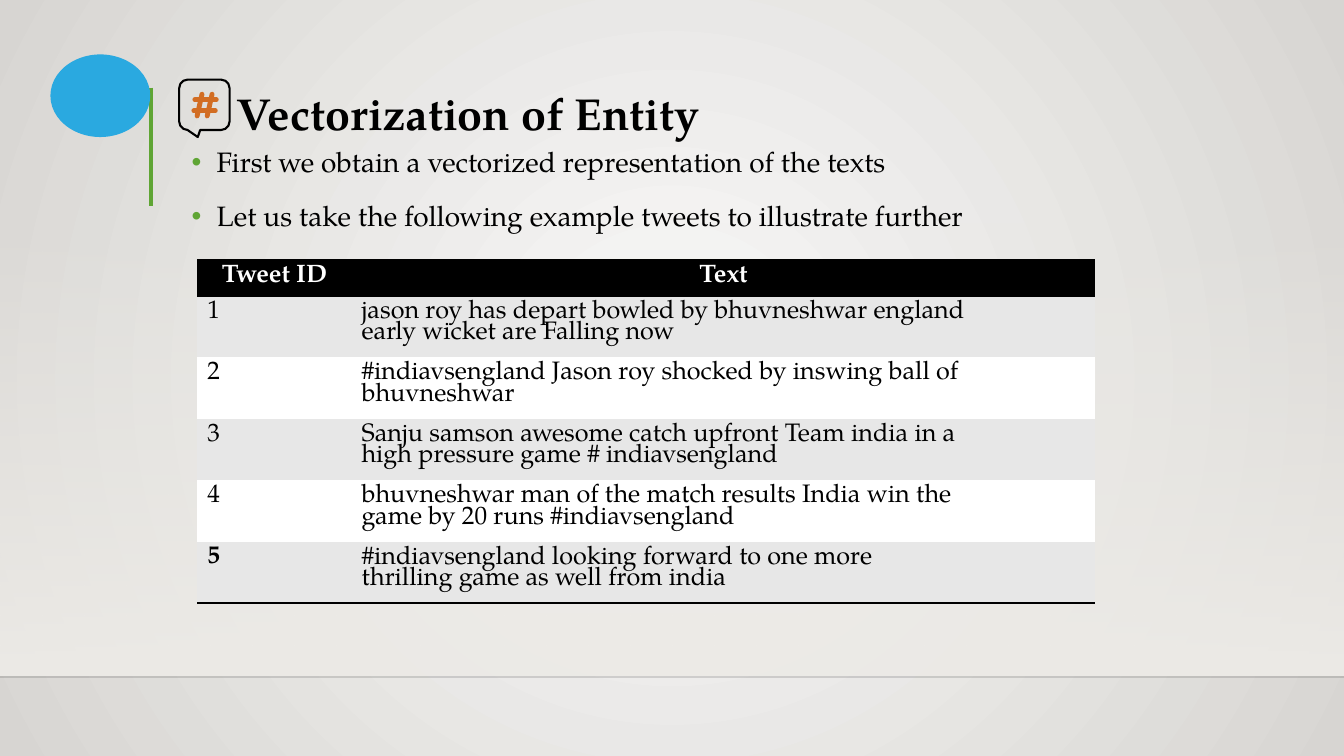
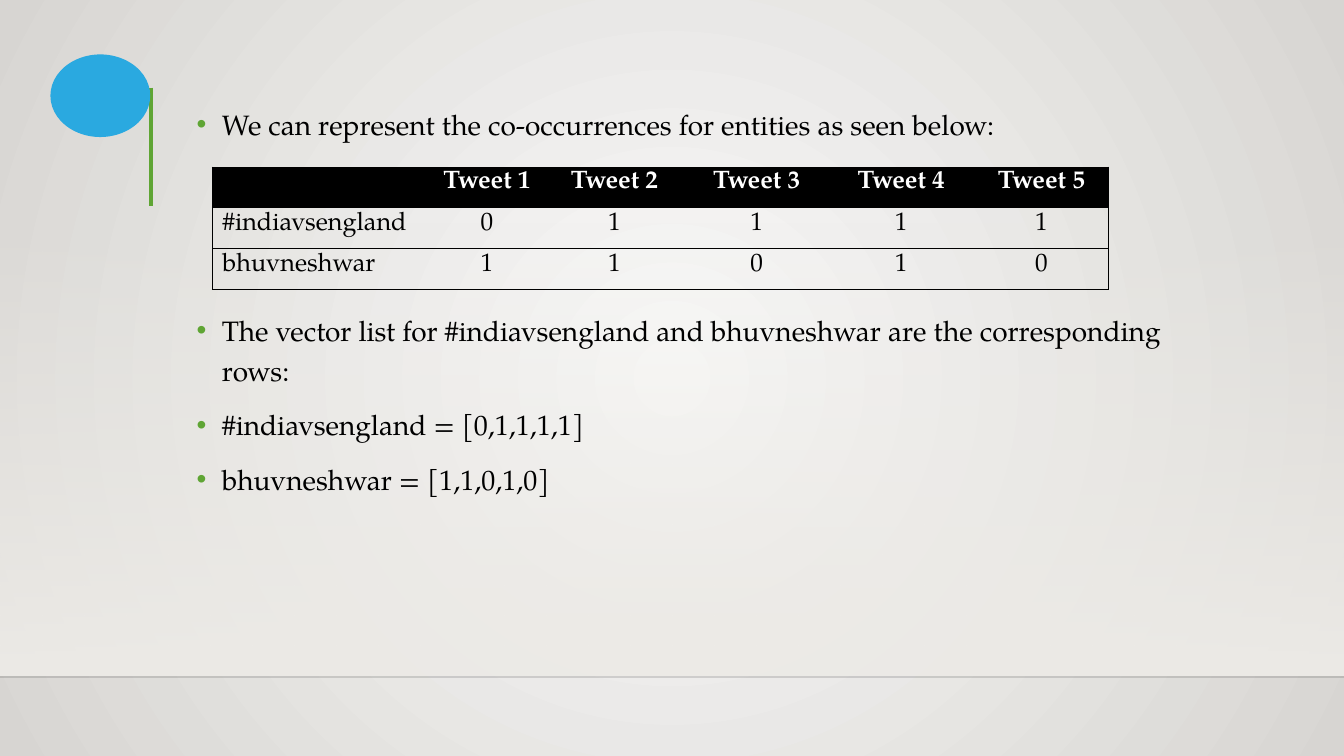
import pptx
import pptx.util
import pptx.dml.color
import pptx.enum.shapes
import pptx.enum.text
import pptx.oxml
import pptx.oxml.ns

Pt = pptx.util.Pt
qn = pptx.oxml.ns.qn
SHAPE = pptx.enum.shapes.MSO_SHAPE
ALIGN = pptx.enum.text.PP_ALIGN
ANCHOR = pptx.enum.text.MSO_ANCHOR

FONT = "TeX Gyre Pagella"
NO_STYLE = "{2D5ABB26-0587-4C30-8999-92F81FD0307C}"
COLORS = {
    "center": "FAFAF9", "edge": "D7D5D2", "band": "EDEBE7", "rule": "000001",
    "green": "5FA534", "blue": "2AA9E0", "orange": "D26D23",
    "black": "000000", "white": "FFFFFF", "stripe": "E7E7E7",
}
WIDTH, HEIGHT = 960, 540

TITLE = "Vectorization of Entity"
INTRO = [
    "First we obtain a vectorized representation of the texts",
    "Let us take the following example tweets to illustrate further",
]
TWEETS = [
    ("Tweet ID", "Text"),
    ("1", "jason roy has depart bowled by bhuvneshwar england\nearly wicket are Falling now"),
    ("2", "#indiavsengland Jason roy shocked by inswing ball of\nbhuvneshwar"),
    ("3", "Sanju samson awesome catch upfront Team india in a\nhigh pressure game # indiavsengland"),
    ("4", "bhuvneshwar man of the match results India win the\ngame by 20 runs #indiavsengland"),
    ("5", "#indiavsengland looking forward to one more\nthrilling game as well from india"),
]
VECTORS = [
    "We can represent the co-occurrences for entities as seen below:",
    "The vector list for #indiavsengland and bhuvneshwar are the corresponding rows:",
    "#indiavsengland = [0,1,1,1,1]",
    "bhuvneshwar = [1,1,0,1,0]",
]
COUNTS = [
    ("", "Tweet 1", "Tweet 2", "Tweet 3", "Tweet 4", "Tweet 5"),
    ("#indiavsengland", "0", "1", "1", "1", "1"),
    ("bhuvneshwar", "1", "1", "0", "1", "0"),
]
HASH_BARS = [
    (144.3, 67.3, 140.8, 82.8), (151.5, 67.3, 148, 82.8),
    (139.2, 71.2, 154.5, 71.2), (138.5, 79.2, 153.8, 79.2),
]


def rgb(name):
    return pptx.dml.color.RGBColor.from_string(COLORS[name])


def add_xml(parent, tag, **attrs):
    el = pptx.oxml.parse_xml(f"<{tag} {pptx.oxml.ns.nsdecls('a')}/>")
    for key, value in attrs.items():
        el.set(key, str(value))
    parent.append(el)
    return el


def set_alpha(fill_element, percent):
    color = next(fill_element.iter(qn("a:srgbClr")))
    add_xml(color, "a:alpha", val=percent * 1000)


def add_shape(s, kind, box, fill=None, line=None):
    sp = s.shapes.add_shape(kind, *map(Pt, box))
    sp.shadow.inherit = False
    if fill:
        sp.fill.solid()
        sp.fill.fore_color.rgb = rgb(fill)
    else:
        sp.fill.background()
    if line:
        sp.line.color.rgb = rgb(line)
        sp.line.width = Pt(1.5)
    else:
        sp.line.fill.background()
    return sp


def add_line(s, ends, color, width):
    cx = s.shapes.add_connector(pptx.enum.shapes.MSO_CONNECTOR.STRAIGHT, *map(Pt, ends))
    cx.line.color.rgb = rgb(color)
    cx.line.width = Pt(width)
    add_xml(cx.element.spPr, "a:effectLst")
    return cx


def format_runs(p, size, color="black", bold=False):
    for r in p.runs:
        r.font.name = FONT
        r.font.size = Pt(size)
        r.font.bold = bold
        r.font.color.rgb = rgb(color)


def place(sp, box):
    sp.left, sp.top, sp.width, sp.height = map(Pt, box)


def decorate_master(master, s):
    """Draws the shared backdrop on s, then moves it to the master."""
    fill = master.background.fill
    fill.gradient()
    for stop, name in zip(fill.gradient_stops, ("center", "edge")):
        stop.color.rgb = rgb(name)
    lin = master.element.xpath("./p:cSld/p:bg//a:lin")[0]
    grad = lin.getparent()
    grad.remove(lin)
    focus = add_xml(grad, "a:path", path="circle")
    add_xml(focus, "a:fillToRect", l=50000, t=50000, r=50000, b=50000)

    band = add_shape(s, SHAPE.RECTANGLE, (0, 158.4, WIDTH, 324))
    band.fill.gradient()
    band.fill.gradient_angle = 270
    for stop in band.fill.gradient_stops:
        stop.color.rgb = rgb("band")
    set_alpha(band.element.spPr, 0)
    floor = add_line(s, (0, 483.6, WIDTH, 483.6), "rule", 1)
    set_alpha(floor.element.spPr, 20)
    accent = add_line(s, (108, 62.6, 108, 146.9), "green", 3)
    badge = add_shape(s, SHAPE.OVAL, (36, 38.9, 71.3, 59), "blue")
    for number, sp in enumerate((band, floor, accent, badge), 101):
        sp.element.xpath(".//p:cNvPr")[0].set("id", str(number))
        master.shapes.element.append(sp.element)


def fill_title(s, text):
    sp = s.shapes.title
    place(sp, (113.8, 59.8, 749.5, 43.9))
    tf = sp.text_frame
    tf.text = text
    tf.auto_size = pptx.enum.text.MSO_AUTO_SIZE.NONE
    tf.vertical_anchor = ANCHOR.BOTTOM
    tf.margin_left = Pt(55.4)
    p = tf.paragraphs[0]
    p.alignment = ALIGN.LEFT
    p.line_spacing = 0.9
    format_runs(p, 32, bold=True)


def fill_bullets(s, items, box):
    sp = s.placeholders[1]
    place(sp, box)
    tf = sp.text_frame
    tf.text = "\n".join(items)
    tf.auto_size = pptx.enum.text.MSO_AUTO_SIZE.NONE
    tf.vertical_anchor = ANCHOR.TOP
    for p in tf.paragraphs:
        p.line_spacing = 1.2
        p.space_before = Pt(10)
        format_runs(p, 20)
        pPr = p._p.get_or_add_pPr()
        pPr.set("marL", str(Pt(18)))
        pPr.set("indent", str(-Pt(18)))
        add_xml(add_xml(pPr, "a:buClr"), "a:srgbClr", val=COLORS["green"])
        add_xml(pPr, "a:buFont", typeface="Arial")
        add_xml(pPr, "a:buChar", char="•")
    return tf


def set_borders(cell, sides, width):
    """Draws black borders; sides is a string of L, R, T and B."""
    tcPr = cell._tc.get_or_add_tcPr()
    for index, side in enumerate(s for s in "LRTB" if s in sides):
        ln = add_xml(tcPr, f"a:ln{side}", w=Pt(width))
        add_xml(add_xml(ln, "a:solidFill"), "a:srgbClr", val=COLORS["black"])
        tcPr.insert(index, ln)


def add_table(s, rows, left, top, widths, heights, centered, body_fills, borders, width):
    """borders(row, column) gives the sides to draw on a cell."""
    frame = s.shapes.add_table(len(rows), len(widths), Pt(left), Pt(top),
                               Pt(sum(widths)), Pt(sum(heights)))
    table = frame.table
    next(frame.element.iter(qn("a:tableStyleId"))).text = NO_STYLE
    table.horz_banding = False
    for column, w in zip(table.columns, widths):
        column.width = Pt(w)
    for i, values in enumerate(rows):
        table.rows[i].height = Pt(heights[i])
        for j, value in enumerate(values):
            cell = table.cell(i, j)
            cell.text = value
            fill = body_fills[i % 2] if i else "black"
            if fill:
                cell.fill.solid()
                cell.fill.fore_color.rgb = rgb(fill)
            else:
                cell.fill.background()
            set_borders(cell, borders(i, j), width)
            for p in cell.text_frame.paragraphs:
                p.line_spacing = 0.85
                if i == 0 or (centered and j):
                    p.alignment = ALIGN.CENTER
                format_runs(p, 18, "black" if i else "white", bold=i == 0)
    return table


def add_hash_icon(s):
    bubble = add_shape(s, SHAPE.ROUNDED_RECTANGULAR_CALLOUT, (128, 56.9, 36, 36), line="black")
    for i, value in enumerate((-0.13, 0.64, 0.17)):
        bubble.adjustments[i] = value
    for ends in HASH_BARS:
        bar = add_line(s, ends, "orange", 3.5)
        bar.line._get_or_add_ln().set("cap", "rnd")


def tweet_borders(i, j):
    return {0: "TB", len(TWEETS) - 1: "B"}.get(i, "")


def count_borders(i, j):
    return "TB" + ("L" if j == 0 else "") + ("R" if j == len(COUNTS[0]) - 1 else "")


def main():
    prs = pptx.Presentation()
    prs.slide_width, prs.slide_height = Pt(WIDTH), Pt(HEIGHT)
    layout = prs.slide_layouts[1]

    s = prs.slides.add_slide(layout)
    decorate_master(prs.slide_master, s)
    fill_title(s, TITLE)
    fill_bullets(s, INTRO, (129.6, 94.9, 749.5, 314))
    table = add_table(s, TWEETS, 140.9, 186.2, (110.2, 531.4), [25.2] + [43.9] * 5,
                      False, ("white", "stripe"), tweet_borders, 2)
    format_runs(table.cell(5, 0).text_frame.paragraphs[0], 18, bold=True)
    add_hash_icon(s)

    s = prs.slides.add_slide(layout)
    title = s.shapes.title.element
    title.getparent().remove(title)
    tf = fill_bullets(s, VECTORS, (133.2, 68.4, 749.5, 372.2))
    tf.paragraphs[1].space_before = Pt(118)
    add_table(s, COUNTS, 151.7, 119.3, (155.5, 81.4, 100.8, 102.2, 104.4, 95.8),
              (25.2, 29.3, 29.3), True, (None, None), count_borders, 0.75)

    prs.save("out.pptx")


if __name__ == "__main__":
    main()
